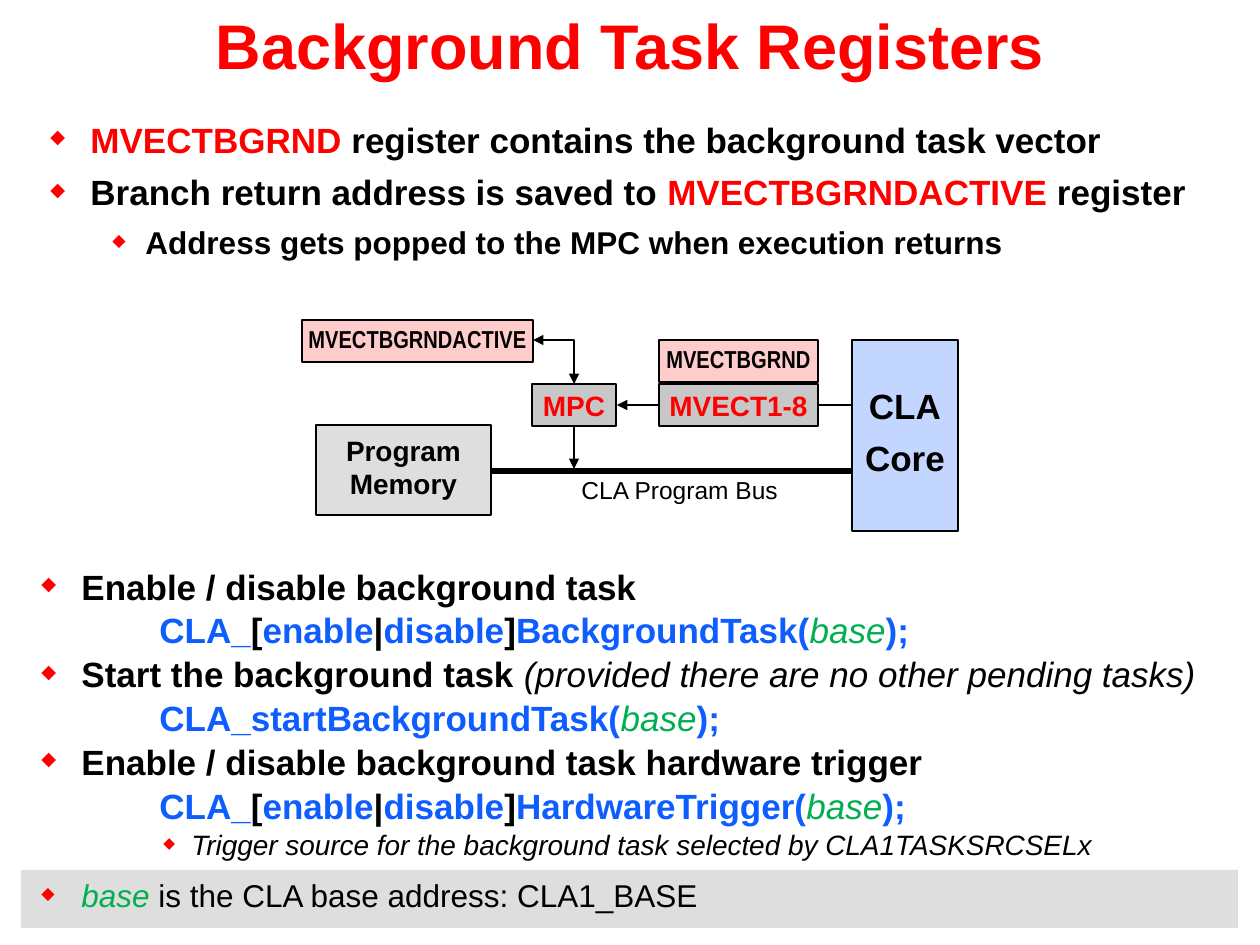
import pptx
import pptx.dml.color
import pptx.enum.shapes
import pptx.enum.text
import pptx.oxml
import pptx.oxml.ns
import pptx.util

PX = 914400 / 126
COLORS = {"red": "FF0000", "black": "000000", "blue": "0D5DFF", "green": "00B050",
          "pale": "DEDEDE", "gray": "C7C7C7", "pink": "FFCCCC", "sky": "C2D6FF"}
RGB = {name: pptx.dml.color.RGBColor.from_string(h) for name, h in COLORS.items()}
STYLES = {
    "key": ("red", {"bold": True, "italic": False}),
    "bold": ("black", {"bold": True, "italic": False}),
    "plain": ("black", {"bold": False, "italic": False}),
    "note": ("black", {"bold": False, "italic": True}),
    "code": ("blue", {"bold": True, "italic": False}),
    "arg": ("green", {"bold": False, "italic": True}),
}
MIDDLE = pptx.enum.text.MSO_ANCHOR.MIDDLE
TOP = pptx.enum.text.MSO_ANCHOR.TOP
CENTER = pptx.enum.text.PP_ALIGN.CENTER
LEFT = pptx.enum.text.PP_ALIGN.LEFT
CONNECTOR = pptx.enum.shapes.MSO_CONNECTOR
NS = pptx.oxml.ns.nsdecls("a")


def add_text(p, runs, size, font="Arial", bullet=None, **fmt):
    """Fill a paragraph with (text, style) runs; bullet is (left px, hanging px)."""
    if bullet:
        left, hang = bullet
        pPr = p._p.get_or_add_pPr()
        pPr.set("marL", str(round(left * PX)))
        pPr.set("indent", str(round(-hang * PX)))
        marks = (f'<a:buClr {NS}><a:srgbClr val="{COLORS["red"]}"/></a:buClr>',
                 f'<a:buSzPct {NS} val="55000"/>', f'<a:buChar {NS} char="◆"/>')
        for mark in marks if hang else ():
            pPr.append(pptx.oxml.parse_xml(mark))
    for name, value in fmt.items():
        setattr(p, name, value)
    for text, style in runs:
        r = p.add_run()
        r.text = text
        color, look = STYLES[style]
        for name, value in {"size": pptx.util.Pt(size), "name": font, **look}.items():
            setattr(r.font, name, value)
        r.font.color.rgb = RGB[color]


def add_box(x, y, w, h, fill=None, line=None, anchor=TOP, wrap=True):
    """Add a text box, or a rectangle when a fill is given."""
    place = [round(v * PX) for v in (x, y, w, h)]
    if fill:
        sp = s.shapes.add_shape(pptx.enum.shapes.MSO_SHAPE.RECTANGLE, *place)
        sp.shadow.inherit = False
        sp.fill.solid()
        sp.fill.fore_color.rgb = RGB[fill]
        if line:
            sp.line.color.rgb = RGB[line]
            sp.line.width = pptx.util.Pt(1)
        else:
            sp.line.fill.background()
    else:
        sp = s.shapes.add_textbox(*place)
    for name, value in {"word_wrap": wrap, "vertical_anchor": anchor}.items():
        setattr(sp.text_frame, name, value)
    return sp.text_frame


prs = pptx.Presentation()
prs.slide_width, prs.slide_height = round(1260 * PX), round(945 * PX)
s = prs.slides.add_slide(prs.slide_layouts[6])

# Title
tf = add_box(0, 0, 1260, 88, anchor=MIDDLE)
add_text(tf.paragraphs[0], [("Background Task Registers", "key")], 36, alignment=CENTER)

# Upper bullets
FIRST = (48, 40)
points = [
    (20, FIRST, [("MVECTBGRND", "key"),
                 (" register contains the background task vector", "bold")]),
    (20, FIRST, [("Branch return address is saved to ", "bold"),
                 ("MVECTBGRNDACTIVE", "key"), (" register", "bold")]),
    (18, (103, 33), [("Address gets popped to the MPC when execution returns", "bold")]),
]
tf = add_box(30, 112, 1198, 159)
for i, (size, bullet, runs) in enumerate(points):
    p = tf.add_paragraph() if i else tf.paragraphs[0]
    add_text(p, runs, size, bullet=bullet, space_before=pptx.util.Pt(6 if i else 0))

# Diagram lines: kind, x1, y1, x2, y2, weight, arrowheads
lines = [
    (CONNECTOR.STRAIGHT, 490, 471, 856, 471, 3, ()),
    (CONNECTOR.STRAIGHT, 659, 405, 617, 405, 1, ("tailEnd",)),
    (CONNECTOR.STRAIGHT, 818, 405, 856, 405, 1, ()),
    (CONNECTOR.STRAIGHT, 574, 426, 574, 469, 1, ("tailEnd",)),
    (CONNECTOR.ELBOW, 533, 340, 574, 384, 1, ("headEnd", "tailEnd")),
]
for kind, x1, y1, x2, y2, weight, heads in lines:
    cx = s.shapes.add_connector(kind, *(round(v * PX) for v in (x1, y1, x2, y2)))
    cx.line.color.rgb = RGB["black"]
    cx.line.width = pptx.util.Pt(weight)
    spPr = cx._element.spPr
    if kind == CONNECTOR.ELBOW:
        spPr.find(pptx.oxml.ns.qn("a:prstGeom")).set("prst", "bentConnector2")
    for head in heads:
        spPr.find(pptx.oxml.ns.qn("a:ln")).append(
            pptx.oxml.parse_xml(f'<a:{head} {NS} type="triangle"/>'))
    spPr.append(pptx.oxml.parse_xml(f"<a:effectLst {NS}/>"))

# Diagram blocks: place, fill, lines of text, style, size, font, line spacing, gap in points
blocks = [
    ((316, 425, 175, 90), "pale", ["Program", "Memory"], "bold", 16, "Arial", 0.8, 4),
    ((532, 384, 84, 42), "gray", ["MPC"], "key", 16, "Arial", 1, 0),
    ((659, 384, 159, 42), "gray", ["MVECT1-8"], "key", 16, "Arial", 1, 0),
    ((659, 340, 159, 42), "pink", ["MVECTBGRND"], "bold", 14, "Arial Narrow", 0.8, 0),
    ((302, 320, 231, 42), "pink", ["MVECTBGRNDACTIVE"], "bold", 14, "Arial Narrow", 0.8, 0),
    ((852, 340, 106, 191), "sky", ["CLA", "Core"], "bold", 20, "Arial", 0.8, 11),
]
for place, fill, words, style, size, font, spacing, gap in blocks:
    tf = add_box(*place, fill, "black", MIDDLE, wrap=False)
    for i, word in enumerate(words):
        p = tf.add_paragraph() if i else tf.paragraphs[0]
        add_text(p, [(word, style)], size, font, alignment=CENTER, line_spacing=spacing,
                 space_before=pptx.util.Pt(gap if i else 0))

tf = add_box(569, 475, 223, 37, wrap=False)
add_text(tf.paragraphs[0], [("CLA Program Bus", "plain")], 14, line_spacing=0.8)

# Lower bullets, each followed by its call
CALL = (126, 0)
ARGUMENT = [("base", "arg"), (");", "code")]
SWITCH = [("CLA_", "code"), ("[", "bold"), ("enable", "code"), ("|", "bold"),
          ("disable", "code"), ("]", "bold")]
steps = [
    (20, FIRST, [("Enable / disable background task", "bold")]),
    (20, CALL, SWITCH + [("BackgroundTask(", "code")] + ARGUMENT),
    (20, FIRST, [("Start the background task ", "bold"),
                 ("(provided there are no other pending tasks)", "note")]),
    (20, CALL, [("CLA_startBackgroundTask(", "code")] + ARGUMENT),
    (20, FIRST, [("Enable / disable background task hardware trigger", "bold")]),
    (20, CALL, SWITCH + [("HardwareTrigger(", "code")] + ARGUMENT),
    (16, (158, 28), [("Trigger source for the background task selected by "
                      "CLA1TASKSRCSELx", "note")]),
]
tf = add_box(21, 559, 1217, 311)
for i, (size, bullet, runs) in enumerate(steps):
    p = tf.add_paragraph() if i else tf.paragraphs[0]
    add_text(p, runs, size, bullet=bullet, space_after=pptx.util.Pt(1))

# Footer bar
tf = add_box(21, 870, 1217, 58, "pale")
add_text(tf.paragraphs[0], [("base ", "arg"), ("is the CLA base address: CLA1_BASE", "plain")],
         18, bullet=FIRST, alignment=LEFT)

prs.save("out.pptx")
